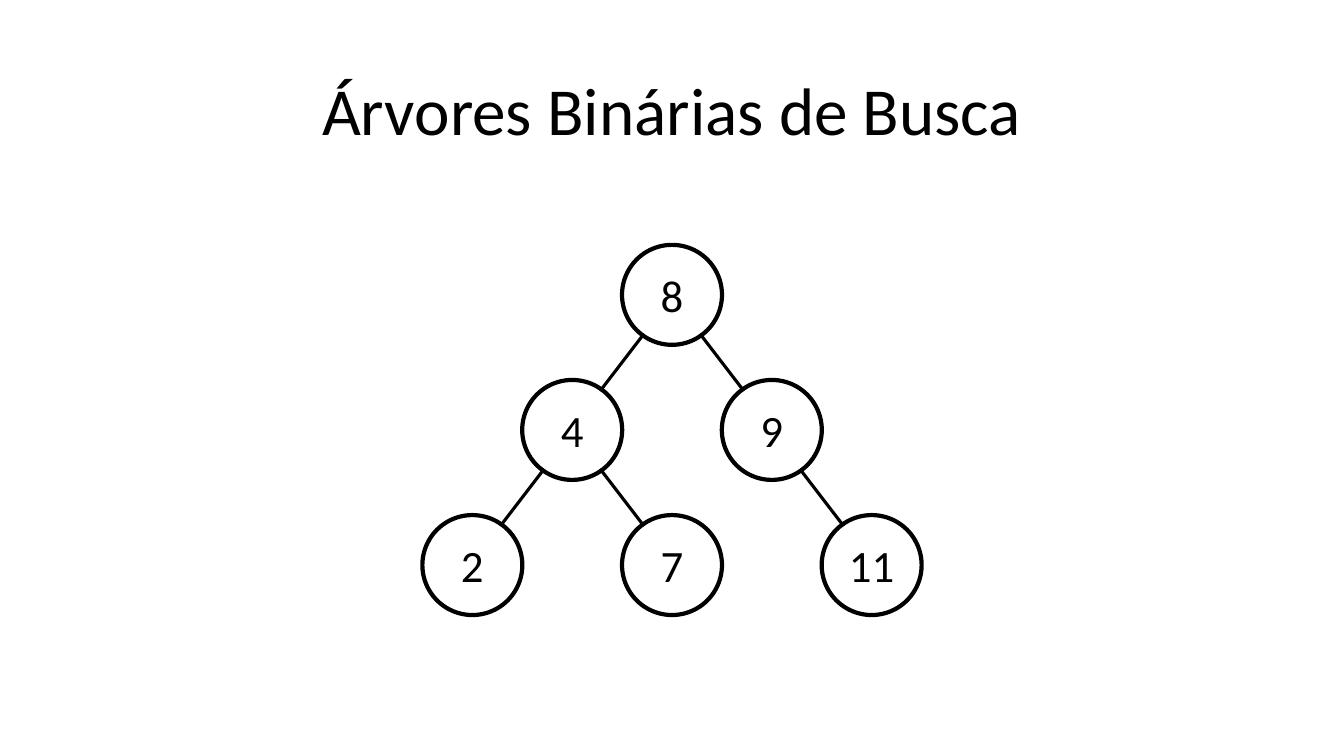
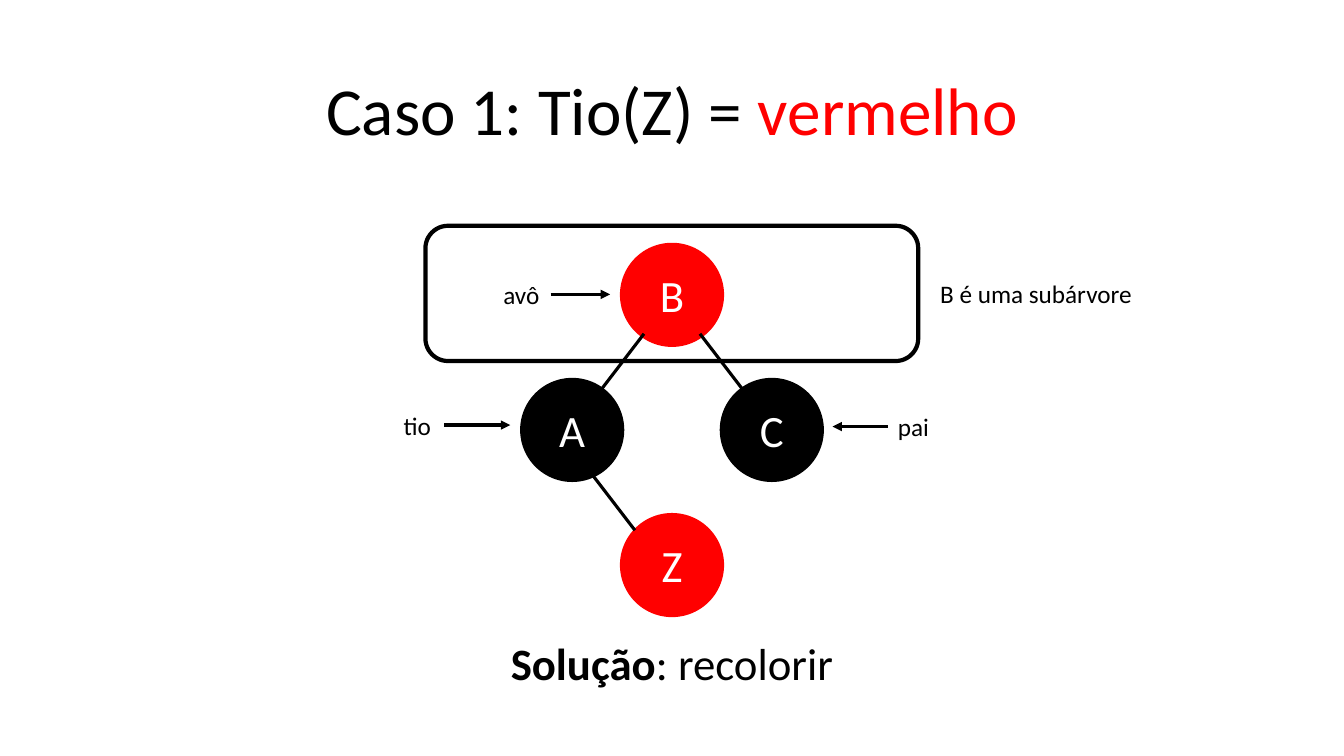
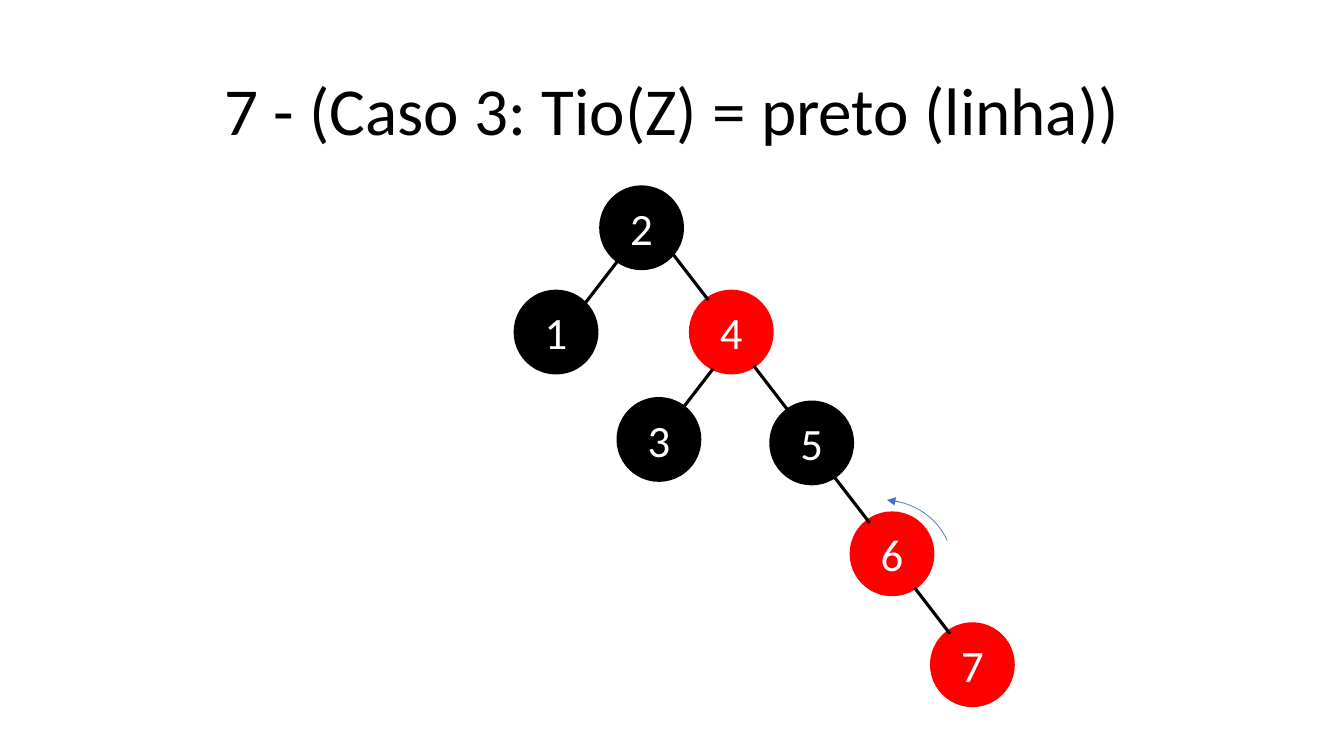
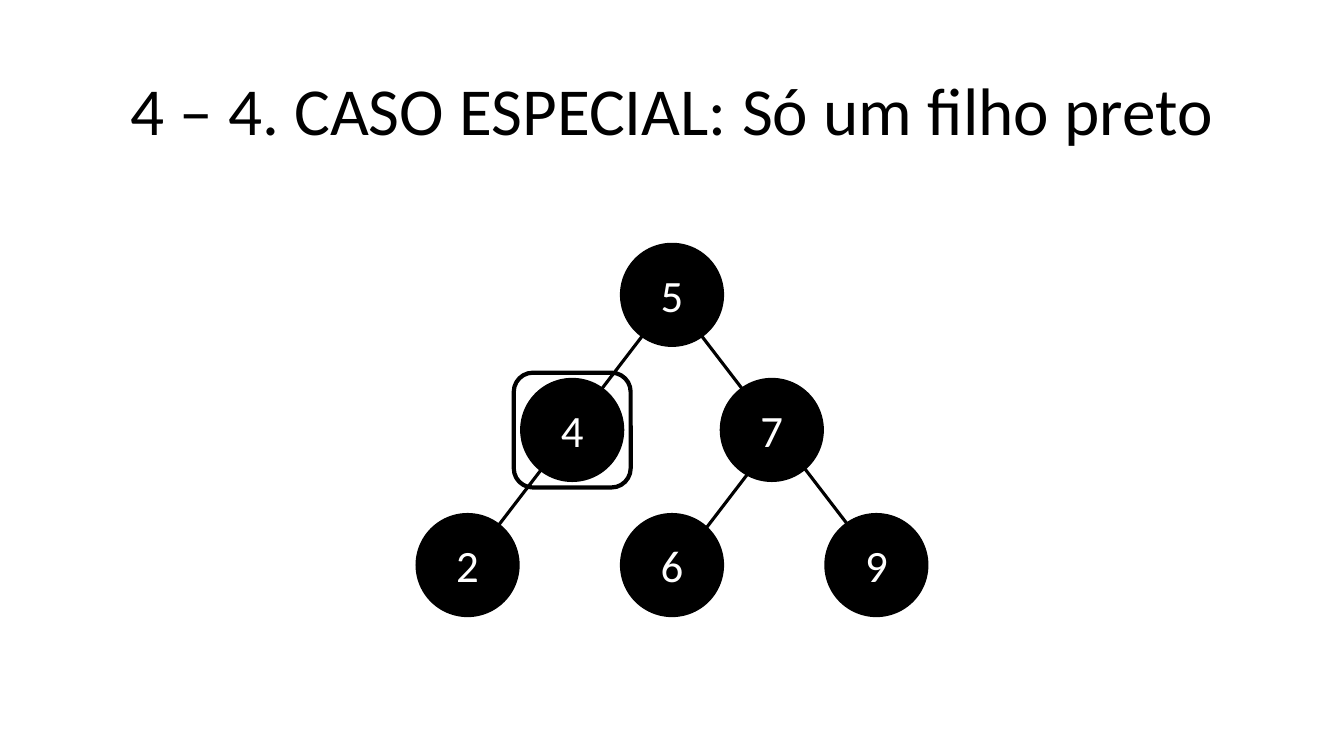
import pptx
import pptx.dml.color
import pptx.enum.shapes
import pptx.enum.text
import pptx.oxml.ns
import pptx.util
from lxml import etree

Pt = pptx.util.Pt
SHAPES = pptx.enum.shapes.MSO_SHAPE
ALIGN = pptx.enum.text.PP_ALIGN
ANCHOR = pptx.enum.text.MSO_ANCHOR


# Theme: colours, line widths and text styles
THEME = {
    "black": pptx.dml.color.RGBColor(0, 0, 0),
    "white": pptx.dml.color.RGBColor(255, 255, 255),
    "red": pptx.dml.color.RGBColor(255, 0, 0),
    "blue": pptx.dml.color.RGBColor(0x44, 0x72, 0xC4),
    "font": "Calibri",
    "outline": 3,
    "edge": 2.25,
    "rotation": 0.5,
    "title": {"size": 48, "align": ALIGN.CENTER, "anchor": ANCHOR.MIDDLE, "spacing": 0.9},
    "solution": {"size": 32, "align": ALIGN.CENTER, "anchor": ANCHOR.MIDDLE, "spacing": 0.9},
    "node": {"size": 32, "align": ALIGN.CENTER, "anchor": ANCHOR.MIDDLE, "spacing": 1},
    "label": {"size": 18, "align": ALIGN.LEFT, "anchor": ANCHOR.TOP, "spacing": 1},
}
TITLE_BOX = (66, 28.75, 828, 104.4)

# Tree grid: node centres by column and row
CENTRE, COLUMN, OUTER, TOP, ROW = 480, 71.3, 146, 210.6, 96.5
LEFT, RIGHT = CENTRE - COLUMN, CENTRE + COLUMN
MIDDLE, BOTTOM = TOP + ROW, TOP + 2 * ROW
LARGE = {"diameter": 71.4, "span": (31.3, 40.8)}
SMALL = {"diameter": 57.6, "span": (25.4, 33)}
STEP_X, STEP_Y = 57.4, 79.2

# Nodes: (text, colour, centre x, centre y)
# Edges: (parent, child, nudge x, nudge y)
# Arrows: (x1, y1, x2, y2, colour, width)
SLIDES = [
    {
        "title": [("Árvores Binárias de Busca", {})],
        "size": LARGE,
        "nodes": [
            ("8", "white", CENTRE, TOP),
            ("4", "white", LEFT, MIDDLE),
            ("9", "white", RIGHT, MIDDLE),
            ("2", "white", CENTRE - 2 * COLUMN, BOTTOM),
            ("7", "white", CENTRE, BOTTOM),
            ("11", "white", CENTRE + 2 * COLUMN, BOTTOM),
        ],
        "edges": [("8", "4", 0, 0), ("8", "9", 0, 0), ("4", "2", 0, 0),
                  ("4", "7", 0, 0), ("9", "11", 0, 0)],
    },
    {
        "title": [("Caso 1: Tio(Z) = ", {}), ("vermelho", {"colour": "red"})],
        "size": LARGE,
        "nodes": [
            ("B", "red", CENTRE, TOP),
            ("A", "black", LEFT, MIDDLE),
            ("C", "black", RIGHT, MIDDLE),
            ("Z", "red", CENTRE, BOTTOM),
        ],
        "edges": [("B", "A", 0, 0), ("B", "C", 0, 0), ("A", "Z", -6.5, 3)],
        "frames": [(303.9, 161.3, 352, 96.6)],
        "texts": [
            ("solution", (0, 411, 960, 130), [("Solução", {"bold": True}), (": recolorir", {})]),
            ("label", (634.3, 290.2, 73, 29), [("pai", {})]),
            ("label", (352.5, 195.8, 50, 29), [("avô", {})]),
            ("label", (281.3, 289.2, 50, 29), [("tio", {})]),
            ("label", (664.5, 195.3, 243, 29), [("B é uma subárvore", {})]),
        ],
        "arrows": [
            (634.3, 304.7, 594.7, 304.7, "black", "edge"),
            (393.3, 210.3, 435.8, 210.3, "black", "edge"),
            (317.3, 303.6, 364.5, 303.6, "black", "edge"),
        ],
    },
    {
        "title": [("7 - (Caso 3: Tio(Z) = preto (linha))", {})],
        "size": SMALL,
        "nodes": [
            ("2", "black", 458.3, 162.7),
            ("1", "black", 397.2, 237.2),
            ("3", "black", 470.7, 313.9),
            ("4", "red", 522.4, 237.2),
            ("5", "black", 522.4 + STEP_X, 237.2 + STEP_Y),
            ("6", "red", 522.4 + 2 * STEP_X, 237.2 + 2 * STEP_Y),
            ("7", "red", 522.4 + 3 * STEP_X, 237.2 + 3 * STEP_Y),
        ],
        "edges": [("2", "1", 1.5, 2), ("2", "4", 3, -2), ("4", "3", 0, 4.5),
                  ("4", "5", 0, 1), ("5", "6", 0, 1), ("6", "7", 0, 1)],
        "arcs": [(579.6, 357.1, 100.8, 93.6)],
        "arrows": [(642.2, 358.6, 633.6, 357.1, "blue", "rotation")],
    },
    {
        "title": [("4 – 4. CASO ESPECIAL: Só um filho preto", {})],
        "size": LARGE,
        "nodes": [
            ("5", "black", CENTRE, TOP),
            ("4", "black", LEFT, MIDDLE),
            ("7", "black", RIGHT, MIDDLE),
            ("2", "black", CENTRE - OUTER, BOTTOM),
            ("6", "black", CENTRE, BOTTOM),
            ("9", "black", CENTRE + OUTER, BOTTOM),
        ],
        "edges": [("5", "4", 0, 0), ("5", "7", 0, 0), ("4", "2", 0, 0),
                  ("7", "6", 4, 2), ("7", "9", 2, 0)],
        "frames": [(367, 266.2, 83.5, 82)],
    },
]


def write_text(shape, role, runs, colour="black"):
    style = THEME[role]
    frame = shape.text_frame
    for name, value in {"word_wrap": True, "vertical_anchor": style["anchor"]}.items():
        setattr(frame, name, value)
    paragraph = frame.paragraphs[0]
    for name, value in {"alignment": style["align"], "line_spacing": style["spacing"]}.items():
        setattr(paragraph, name, value)
    for text, changes in runs:
        run = paragraph.add_run()
        run.text = text
        font_values = {"name": THEME["font"], "size": Pt(style["size"]),
                       "bold": changes.get("bold", False)}
        for name, value in font_values.items():
            setattr(run.font, name, value)
        run.font.color.rgb = THEME[changes.get("colour", colour)]


def draw_line(slide, points, colour="black", width="edge", arrow=False):
    connector = slide.shapes.add_connector(
        pptx.enum.shapes.MSO_CONNECTOR.STRAIGHT, *[Pt(value) for value in points])
    connector.line.color.rgb = THEME[colour]
    connector.line.width = Pt(THEME[width])
    if arrow:
        line = connector.line._get_or_add_ln()
        etree.SubElement(line, pptx.oxml.ns.qn("a:tailEnd"), type="triangle")
    properties = connector._element.spPr
    etree.SubElement(properties, pptx.oxml.ns.qn("a:effectLst"))


presentation = pptx.Presentation()
presentation.slide_width, presentation.slide_height = Pt(960), Pt(540)

for content in SLIDES:
    slide = presentation.slides.add_slide(presentation.slide_layouts[6])

    # Title and labels
    texts = [("title", TITLE_BOX, content["title"])] + content.get("texts", [])
    for role, box, runs in texts:
        text_box = slide.shapes.add_textbox(*[Pt(value) for value in box])
        write_text(text_box, role, runs)

    # Tree nodes
    diameter = content["size"]["diameter"]
    centres = {}
    for text, colour, x, y in content["nodes"]:
        centres[text] = (x, y)
        node = slide.shapes.add_shape(
            SHAPES.OVAL, Pt(x - diameter / 2), Pt(y - diameter / 2), Pt(diameter), Pt(diameter))
        node.shadow.inherit = False
        node.fill.solid()
        node.fill.fore_color.rgb = THEME[colour]
        node.line.color.rgb = THEME["black" if colour == "white" else colour]
        node.line.width = Pt(THEME["outline"])
        write_text(node, "node", [(text, {})], "black" if colour == "white" else "white")

    # Tree edges, centred between parent and child
    width, height = content["size"]["span"]
    for parent, child, nudge_x, nudge_y in content["edges"]:
        (x1, y1), (x2, y2) = centres[parent], centres[child]
        x, y = (x1 + x2) / 2 + nudge_x, (y1 + y2) / 2 + nudge_y
        half_x, half_y = (width if x2 > x1 else -width) / 2, height / 2
        draw_line(slide, (x - half_x, y - half_y, x + half_x, y + half_y))

    # Highlight frames and rotation arcs
    outlines = [
        ("frames", SHAPES.FLOWCHART_ALTERNATE_PROCESS, "black", "outline", ()),
        ("arcs", SHAPES.ARC, "blue", "rotation", (168.13, 203.61)),
    ]
    for key, preset, colour, line_width, adjustments in outlines:
        for box in content.get(key, []):
            outline = slide.shapes.add_shape(preset, *[Pt(value) for value in box])
            outline.shadow.inherit = False
            outline.fill.background()
            outline.line.color.rgb = THEME[colour]
            outline.line.width = Pt(THEME[line_width])
            for index, value in enumerate(adjustments):
                outline.adjustments[index] = value

    # Arrows
    for *points, colour, line_width in content.get("arrows", []):
        draw_line(slide, points, colour, line_width, arrow=True)

presentation.save("out.pptx")
